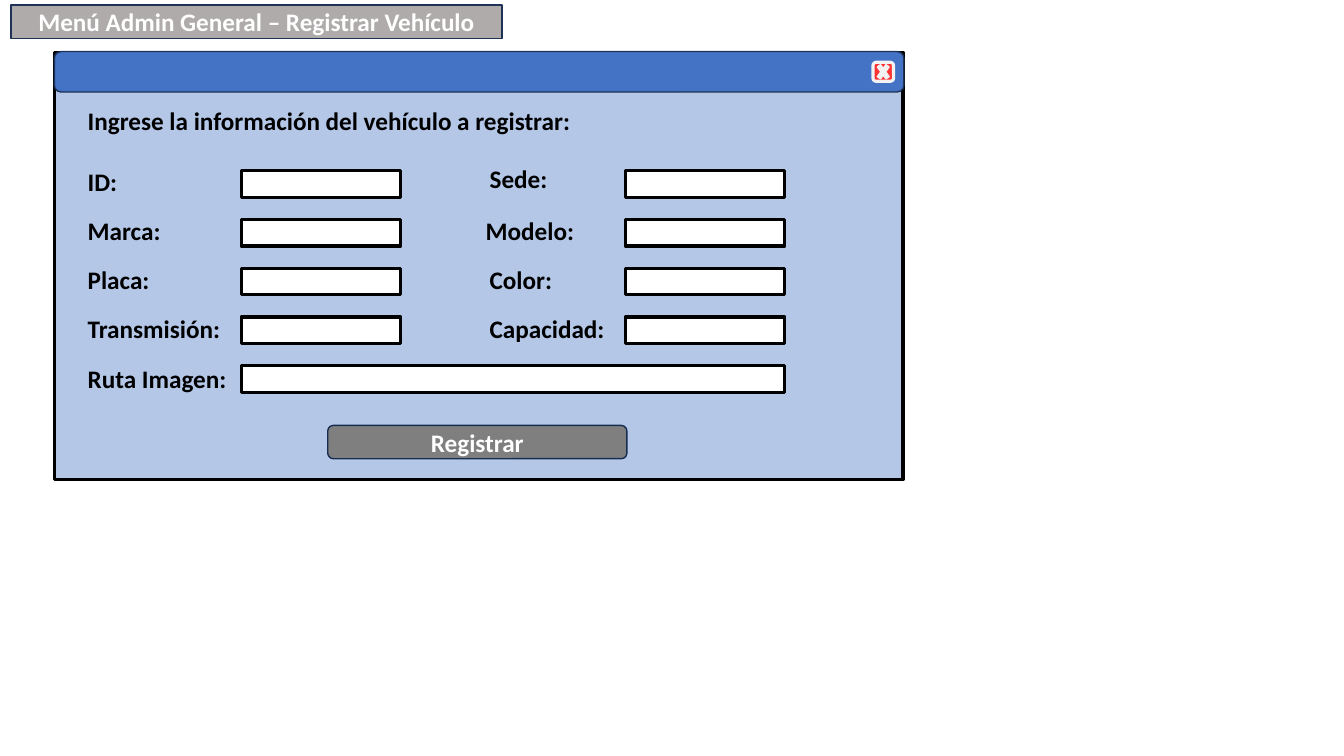
from pptx import Presentation
from pptx.dml.color import RGBColor
from pptx.enum.shapes import MSO_SHAPE as SHAPE
from pptx.enum.text import MSO_ANCHOR as ANCHOR, MSO_AUTO_SIZE as AUTO, PP_ALIGN as ALIGN
from pptx.util import Cm, Pt

COLORS = {
    "window": "B4C7E7", "bar": "4472C4", "edge": "1E3256",
    "close": "FF3333", "light": "F2F2F2", "button": "7F7F7F",
    "button_edge": "172C51", "heading": "AFABAB",
    "black": "000000", "white": "FFFFFF",
}
ROWS = [("ID:", "Sede:"), ("Marca:", "Modelo:"), ("Placa:", "Color:"),
        ("Transmisión:", "Capacidad:"), ("Ruta Imagen:", None)]
NUDGES = {"Sede:": (0, -0.08), "Modelo:": (-0.1, 0)}


def rgb(name):
    return RGBColor.from_string(COLORS[name])


def write(sp, text, color):
    p = sp.text_frame.paragraphs[0]
    p.text = text
    p.font.name = "Calibri"
    p.font.size = Pt(18)
    p.font.bold = True
    p.font.color.rgb = rgb(color)
    return p


def add_box(shapes, kind, x, y, w, h, fill, line, weight=1, text=None):
    sp = shapes.add_shape(kind, Cm(x), Cm(y), Cm(w), Cm(h))
    sp.shadow.inherit = False
    sp.fill.solid()
    sp.fill.fore_color.rgb = rgb(fill)
    sp.line.color.rgb = rgb(line)
    sp.line.width = Pt(weight)
    if text:
        sp.text_frame.vertical_anchor = ANCHOR.MIDDLE
        write(sp, text, "white").alignment = ALIGN.CENTER
    return sp


def add_label(shapes, x, y, w, text):
    sp = shapes.add_textbox(Cm(x), Cm(y), Cm(w), Cm(1.03))
    sp.text_frame.word_wrap = True
    sp.text_frame.auto_size = AUTO.SHAPE_TO_FIT_TEXT
    write(sp, text, "black")


def add_field(shapes, x, y, w):
    add_box(shapes, SHAPE.RECTANGLE, x, y, w, 0.67, "white", "black", 2.25)


def add_title_bar(shapes, x, y, w, h):
    add_box(shapes, SHAPE.ROUNDED_RECTANGLE, x, y, w, h, "bar", "edge")
    close = shapes.add_group_shape().shapes
    add_box(close, SHAPE.ROUNDED_RECTANGLE, x + w - 0.78, y + 0.27, 0.52, 0.48,
            "close", "light", 2.25)
    add_box(close, SHAPE.MATH_MULTIPLY, x + w - 0.73, y + 0.22, 0.42, 0.58,
            "light", "light")


def add_form(shapes, x, y, w):
    label_pitch, field_pitch = 1.24, 1.23
    field_x, field_w, column_gap = x + 4.12, 4.02, 9.68
    for i, labels in enumerate(ROWS):
        label_y, field_y = y + i * label_pitch, y + 0.24 + i * field_pitch
        for label, label_x in zip(labels, (x, x + 10.13)):
            if label:
                dx, dy = NUDGES.get(label, (0, 0))
                add_label(shapes, label_x + dx, label_y + dy, 4.1, label)
        if labels[1]:
            add_field(shapes, field_x, field_y, field_w)
            add_field(shapes, field_x + column_gap, field_y, field_w)
        else:
            add_field(shapes, field_x, field_y, w - 4.12)


def add_window(shapes, x, y, w, h):
    add_box(shapes, SHAPE.RECTANGLE, x, y, w, h, "window", "black", 2.25)
    add_title_bar(shapes, x, y - 0.02, w + 0.02, 1.02)
    add_label(shapes, x + 0.59, y + 1.22, 15,
              "Ingrese la información del vehículo a registrar:")
    add_form(shapes, x + 0.59, y + 2.74, 17.81)
    add_box(shapes, SHAPE.ROUNDED_RECTANGLE, x + 6.89, y + 9.4, 7.54, 0.84,
            "button", "button_edge", text="Registrar")


def main():
    prs = Presentation()
    prs.slide_width, prs.slide_height = Cm(33.87), Cm(19.05)
    shapes = prs.slides.add_slide(prs.slide_layouts[6]).shapes
    add_window(shapes, 1.37, 1.32, 21.39, 10.77)
    add_box(shapes, SHAPE.RECTANGLE, 0.28, 0.13, 12.37, 0.84, "heading", "edge",
            text="Menú Admin General – Registrar Vehículo")
    prs.save("out.pptx")


if __name__ == "__main__":
    main()
